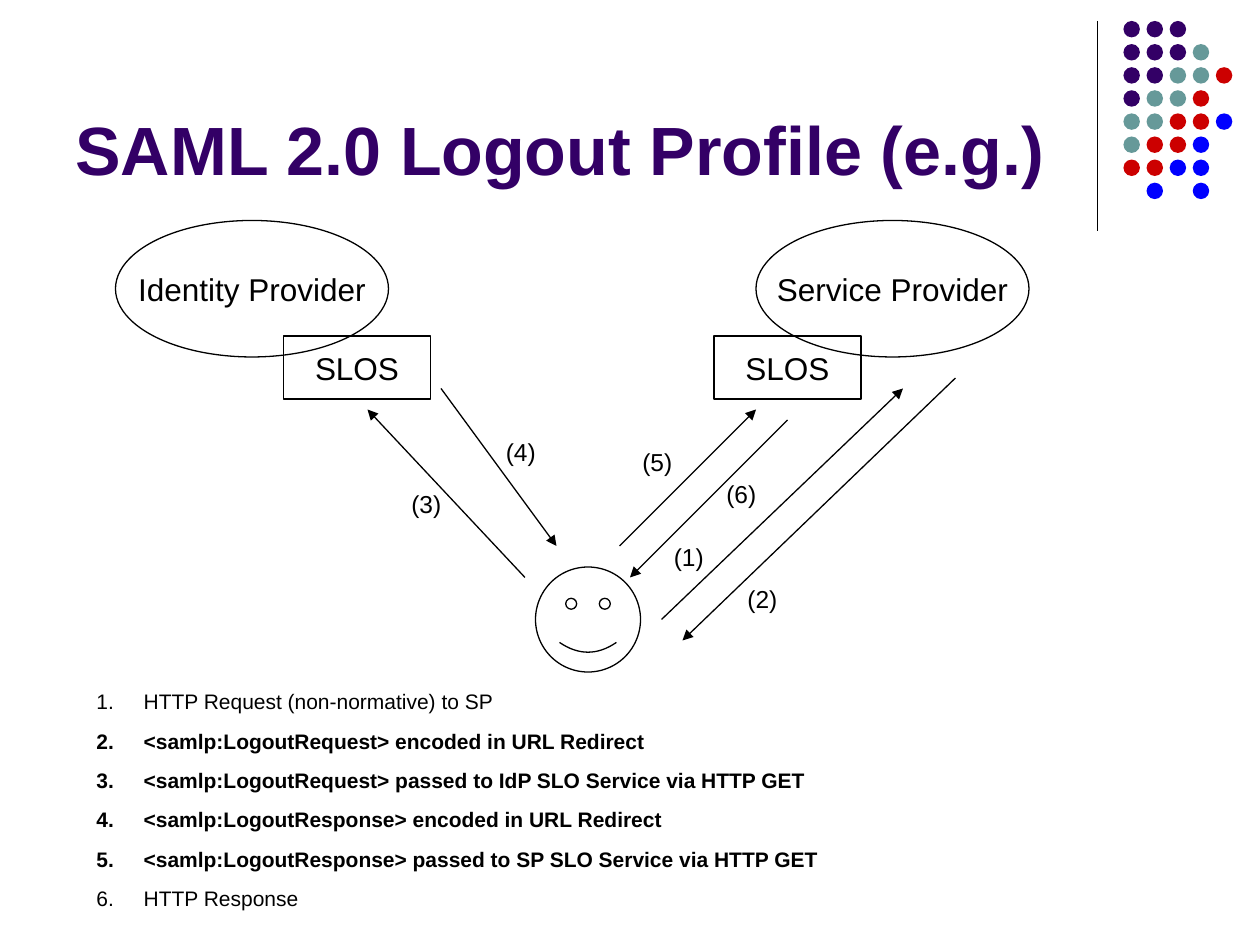
from typing import NamedTuple

import lxml.etree
import pptx
import pptx.dml.color
import pptx.enum.shapes
import pptx.enum.text
import pptx.oxml.ns
import pptx.util

SHAPE = pptx.enum.shapes.MSO_SHAPE
ANCHOR = pptx.enum.text.MSO_ANCHOR
ALIGN = pptx.enum.text.PP_ALIGN
COLORS = {"ink": "000000", "P": "330066", "T": "669999", "R": "CC0000", "B": "0000FF"}
COLUMNS = 120
SLIDE_WIDTH = pptx.util.Inches(10)
SLIDE_HEIGHT = pptx.util.Inches(7.5)
DOT_ROWS = ["PPP", "PPPT", "PPTTR", "PTTR", "TTRRB", "TRRB", "RRBB", " B B"]
DOT_PITCH = 2.2
DOT_SIZE = 1.57


class Node(NamedTuple):
    kind: SHAPE
    left: float
    top: float
    width: float
    height: float
    text: str = ""


class Message(NamedTuple):
    label: str
    start: tuple[float, float]
    end: tuple[float, float]
    label_at: tuple[float, float]


class Step(NamedTuple):
    text: str
    bold: bool


NODES = [
    Node(SHAPE.OVAL, 11, 21, 26, 13, "Identity Provider"),
    Node(SHAPE.SMILEY_FACE, 51, 54, 10, 10),
    Node(SHAPE.RECTANGLE, 27, 32, 14, 6, "SLOS"),
    Node(SHAPE.OVAL, 72, 21, 26, 13, "Service Provider"),
    Node(SHAPE.RECTANGLE, 68, 32, 14, 6, "SLOS"),
]
MESSAGES = [
    Message("(3)", (50, 55), (35, 39), (38, 46)),
    Message("(4)", (42, 37), (53, 52), (47, 41)),
    Message("(5)", (59, 52), (72, 39), (60, 42)),
    Message("(6)", (75, 40), (60, 55), (68, 45)),
    Message("(1)", (63, 59), (86, 37), (63, 51)),
    Message("(2)", (91, 36), (65, 61), (70, 55)),
]
STEPS = [
    Step("HTTP Request (non-normative) to SP", False),
    Step("<samlp:LogoutRequest> encoded in URL Redirect", True),
    Step("<samlp:LogoutRequest> passed to IdP SLO Service via HTTP GET", True),
    Step("<samlp:LogoutResponse> encoded in URL Redirect", True),
    Step("<samlp:LogoutResponse> passed to SP SLO Service via HTTP GET", True),
    Step("HTTP Response", False),
]


def cells(count: float) -> int:
    return round(SLIDE_WIDTH * count / COLUMNS)


def color(name: str) -> pptx.dml.color.RGBColor:
    return pptx.dml.color.RGBColor.from_string(COLORS[name])


def add_child(parent, tag: str, **attributes: str):
    return lxml.etree.SubElement(parent, pptx.oxml.ns.qn(tag), attributes)


def add_span(para, text: str, size: float, bold: bool = False, ink: str = "ink") -> None:
    span = para.add_run()
    span.text = text
    span.font.name = "Arial"
    span.font.size = pptx.util.Pt(size)
    span.font.bold = bold
    span.font.color.rgb = color(ink)


def add_box(slide, left: float, top: float, width: float, height: float):
    box = slide.shapes.add_textbox(*map(cells, (left, top, width, height)))
    box.text_frame.word_wrap = True
    return box.text_frame


def add_line(slide, start: tuple, end: tuple, arrow: bool = False) -> None:
    line = slide.shapes.add_connector(
        pptx.enum.shapes.MSO_CONNECTOR.STRAIGHT, *map(cells, start + end))
    line.line.color.rgb = color("ink")
    line.line.width = pptx.util.Pt(0.75)
    if arrow:
        add_child(line.line._get_or_add_ln(), "a:tailEnd", type="triangle")
    add_child(line._element.spPr, "a:effectLst")


def add_dots(slide) -> None:
    group = slide.shapes.add_group_shape()
    for row, pattern in enumerate(DOT_ROWS):
        for column, key in enumerate(pattern):
            if key == " ":
                continue
            dot = group.shapes.add_shape(
                SHAPE.OVAL, cells(107 + column * DOT_PITCH), cells(2 + row * DOT_PITCH),
                cells(DOT_SIZE), cells(DOT_SIZE))
            dot.shadow.inherit = False
            dot.fill.solid()
            dot.fill.fore_color.rgb = color(key)
            dot.line.fill.background()


def add_title(slide, text: str) -> None:
    frame = add_box(slide, 6, 1.6, 99, 17)
    frame.vertical_anchor = ANCHOR.BOTTOM
    add_span(frame.paragraphs[0], text, 39, True, "P")


def add_node(slide, node: Node) -> None:
    shape = slide.shapes.add_shape(node.kind, *map(cells, node[1:5]))
    shape.shadow.inherit = False
    shape.fill.background()
    shape.line.color.rgb = color("ink")
    shape.line.width = pptx.util.Pt(0.75)
    if node.text:
        shape.text_frame.word_wrap = False
        shape.text_frame.vertical_anchor = ANCHOR.MIDDLE
        para = shape.text_frame.paragraphs[0]
        para.alignment = ALIGN.CENTER
        add_span(para, node.text, 18)


def add_message(slide, message: Message) -> None:
    add_line(slide, message.start, message.end, True)
    frame = add_box(slide, *message.label_at, 6, 4)
    add_span(frame.paragraphs[0], message.label, 14)


def add_steps(slide, steps: list[Step]) -> None:
    frame = add_box(slide, 8, 65, 104, 21.8)
    for index, step in enumerate(steps):
        para = frame.add_paragraph() if index else frame.paragraphs[0]
        if index:
            para.space_before = pptx.util.Pt(8.1)
        properties = para._p.get_or_add_pPr()
        properties.set("marL", str(cells(4.5)))
        properties.set("indent", str(-cells(4.5)))
        add_child(add_child(properties, "a:buClr"), "a:srgbClr", val=COLORS["ink"])
        add_child(properties, "a:buFont", typeface="Arial")
        add_child(properties, "a:buAutoNum", type="arabicPeriod")
        add_span(para, step.text, 12, step.bold)


def main() -> None:
    deck = pptx.Presentation()
    deck.slide_width = SLIDE_WIDTH
    deck.slide_height = SLIDE_HEIGHT
    slide = deck.slides.add_slide(deck.slide_layouts[6])
    add_line(slide, (104.5, 2), (104.5, 22))
    add_dots(slide)
    add_title(slide, "SAML 2.0 Logout Profile (e.g.)")
    for node in NODES:
        add_node(slide, node)
    for message in MESSAGES:
        add_message(slide, message)
    add_steps(slide, STEPS)
    deck.save("out.pptx")


if __name__ == "__main__":
    main()
